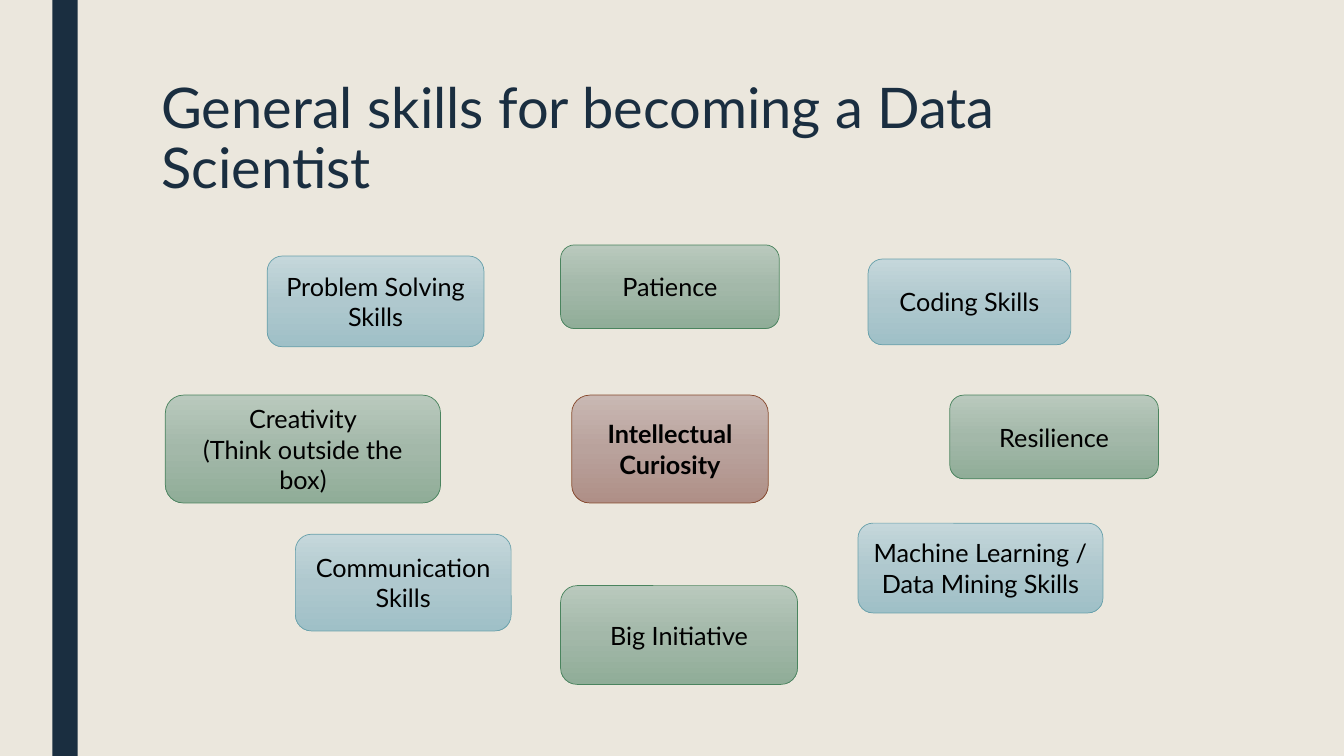
"""Build the slide on general skills for becoming a data scientist."""
import copy

import pptx
import pptx.util
import pptx.dml.color
import pptx.enum.shapes
import pptx.enum.text
import pptx.oxml.ns

Inches = pptx.util.Inches
Pt = pptx.util.Pt
RGB = pptx.dml.color.RGBColor
Shape = pptx.enum.shapes.MSO_SHAPE
Anchor = pptx.enum.text.MSO_ANCHOR
Align = pptx.enum.text.PP_ALIGN

FONT = "Lato"
CREAM = RGB(0xEB, 0xE7, 0xDD)
NAVY = RGB(0x1A, 0x2E, 0x40)
BLACK = RGB(0, 0, 0)
RED = (RGB(0xC9, 0xB8, 0xB3), RGB(0xB9, 0xA2, 0x9C), RGB(0xAF, 0x8F, 0x87))
RED_LINE = RGB(0x87, 0x49, 0x2C)
GREEN = (RGB(0xB9, 0xC9, 0xBD), RGB(0xA3, 0xB8, 0xA9), RGB(0x90, 0xAD, 0x98))
GREEN_LINE = RGB(0x4A, 0x84, 0x5E)
BLUE = (RGB(0xC5, 0xD7, 0xDB), RGB(0xAF, 0xC8, 0xCE), RGB(0x9F, 0xC0, 0xC7))
BLUE_LINE = RGB(0x69, 0xA1, 0xAB)

TRAIT = (GREEN, GREEN_LINE, False)
SKILL = (BLUE, BLUE_LINE, False)
CORE = (RED, RED_LINE, True)
BOXES = [
    ("Intellectual Curiosity", CORE, 5.67, 3.92, 1.95, 1.07),
    ("Patience", TRAIT, 5.56, 2.43, 2.17, 0.83),
    ("Creativity\n(Think outside the box)", TRAIT, 1.64, 3.92, 2.73, 1.07),
    ("Communication Skills", SKILL, 2.93, 5.3, 2.14, 0.96),
    ("Resilience", TRAIT, 9.42, 3.92, 2.07, 0.83),
    ("Big Initiative", TRAIT, 5.56, 5.81, 2.35, 0.98),
    ("Coding Skills", SKILL, 8.61, 2.57, 2.01, 0.85),
    ("Problem Solving Skills", SKILL, 2.65, 2.54, 2.15, 0.9),
    ("Machine Learning / Data Mining Skills", SKILL, 8.51, 5.19, 2.43, 0.89),
]


def style(par, size, color, bold=False):
    for run in par.runs:
        run.font.name = FONT
        run.font.size = Pt(size)
        run.font.color.rgb = color
        run.font.bold = bold


def shade(shape, colors):
    shape.fill.gradient()
    shape.fill.gradient_angle = 270
    stops = shape._element.spPr.find(".//" + pptx.oxml.ns.qn("a:gsLst"))
    stops.insert(1, copy.deepcopy(stops[0]))
    for i, stop in enumerate(shape.fill.gradient_stops):
        stop.position = i / 2
        stop.color.rgb = colors[i]


deck = pptx.Presentation()
deck.slide_width = Inches(13.33)
deck.slide_height = Inches(7.5)
slide = deck.slides.add_slide(deck.slide_layouts[5])
slide.background.fill.solid()
slide.background.fill.fore_color.rgb = CREAM

band = slide.shapes.add_shape(Shape.RECTANGLE, Inches(0.52), 0, Inches(0.25), Inches(7.5))
band.shadow.inherit = False
band.fill.solid()
band.fill.fore_color.rgb = NAVY
band.line.fill.background()

title = slide.shapes.title
title.left, title.top = Inches(1.5), Inches(0.75)
title.width, title.height = Inches(10.5), Inches(1.62)
frame = title.text_frame
frame.text = "General skills for becoming a Data Scientist"
frame.word_wrap = True
frame.auto_size = pptx.enum.text.MSO_AUTO_SIZE.NONE
frame.vertical_anchor = Anchor.TOP
head = frame.paragraphs[0]
head.alignment = Align.LEFT
head.line_spacing = 0.89
style(head, 40, NAVY)

for text, (colors, edge, bold), *place in BOXES:
    box = slide.shapes.add_shape(Shape.ROUNDED_RECTANGLE, *map(Inches, place))
    box.shadow.inherit = False
    shade(box, colors)
    box.line.color.rgb = edge
    box.line.width = Pt(0.5)
    frame = box.text_frame
    frame.text = text
    frame.word_wrap = True
    frame.vertical_anchor = Anchor.MIDDLE
    for par in frame.paragraphs:
        par.alignment = Align.CENTER
        style(par, 18, BLACK, bold)

deck.save("out.pptx")
